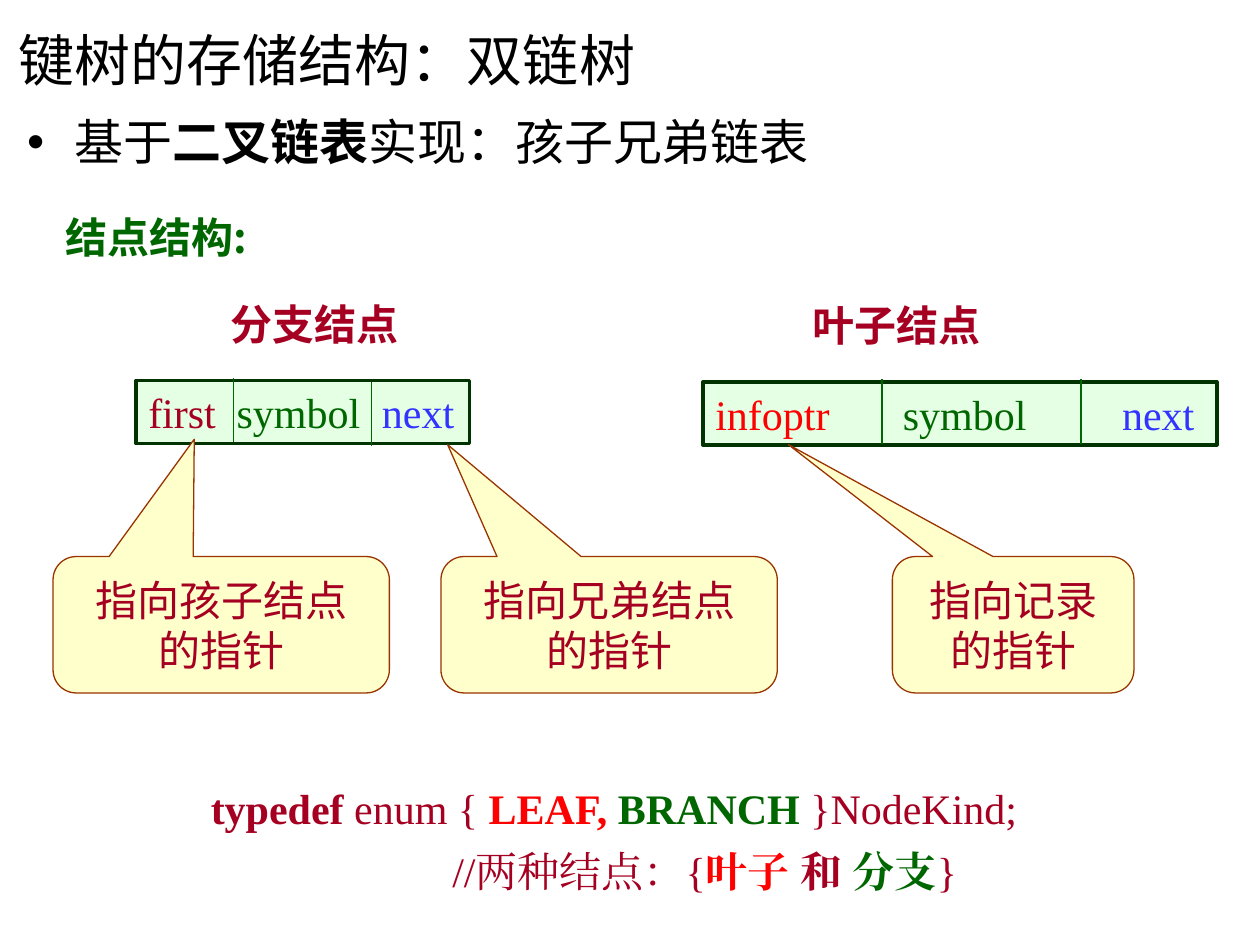
from dataclasses import dataclass

from lxml import etree
from pptx import Presentation
from pptx import util as u
from pptx.dml.color import RGBColor
from pptx.enum import shapes, text
from pptx.oxml.ns import qn


@dataclass(frozen=True)
class Theme:
    black: str = "000000"
    crimson: str = "A50021"
    red: str = "FF0000"
    green: str = "006600"
    blue: str = "3333FF"
    mint: str = "CCFFCC"
    dark_green: str = "003300"
    cream: str = "FFFFCC"
    brown: str = "993300"
    sans: str = "Noto Sans CJK SC"
    title_sans: str = "Noto Sans CJK JP"
    serif: str = "Times New Roman"
    title_size: int = 32
    body_size: int = 28
    label_size: int = 24


theme = Theme()


def write(paragraph, runs, size=theme.label_size, face=theme.sans):
    """Fill a paragraph with (wording, colour, bold) runs."""
    font = paragraph.font
    font.size, font.name = u.Pt(size), face
    latin = paragraph._p.pPr.find(qn("a:defRPr")).find(qn("a:latin"))
    east_asian = etree.Element(qn("a:ea"), typeface=face)
    latin.addnext(east_asian)
    colours = {colour for _, colour, _ in runs}
    weights = {bold for _, _, bold in runs}
    if len(colours) == 1:
        font.color.rgb = RGBColor.from_string(runs[0][1])
    if len(weights) == 1:
        font.bold = runs[0][2]
    for wording, colour, bold in runs:
        run = paragraph.add_run()
        run.text = wording
        if len(colours) > 1:
            run.font.color.rgb = RGBColor.from_string(colour)
        if len(weights) > 1:
            run.font.bold = bold


def paint(shape, fill, line, width):
    """Give a shape a plain fill and outline, without shadow."""
    shape.shadow.inherit = False
    shape.fill.solid()
    shape.fill.fore_color.rgb = RGBColor.from_string(fill)
    shape.line.color.rgb = RGBColor.from_string(line)
    shape.line.width = u.Pt(width)


deck = Presentation()
deck.slide_width, deck.slide_height = u.Cm(25.4), u.Cm(19.05)
slide = deck.slides.add_slide(deck.slide_layouts[6])
canvas = slide.shapes

# Type definition of the node kinds
typedef = canvas.add_textbox(u.Cm(4), u.Cm(15.4), u.Cm(17.15), u.Cm(2.72)).text_frame
typedef.word_wrap = True
declaration, comment = typedef.paragraphs[0], typedef.add_paragraph()
comment._p.get_or_add_pPr().set("marL", str(u.Cm(4.87)))
declaration.line_spacing = comment.line_spacing = 1.25
write(declaration, [
    ("typedef ", theme.crimson, True), ("enum { ", theme.crimson, False),
    ("LEAF, ", theme.red, True), ("BRANCH", theme.green, True),
    (" }NodeKind;", theme.crimson, False),
], face=theme.serif)
write(comment, [
    ("//两种结点：{", theme.crimson, False), ("叶子 ", theme.red, True),
    ("和 ", theme.crimson, True), ("分支", theme.green, True),
    ("}", theme.crimson, False),
], face=theme.serif)

# Section label and node names
for wording, left, top, width, colour in [
    ("结点结构:", 1.07, 4.14, 4.11, theme.green),
    ("分支结点", 4.4, 5.9, 3.94, theme.crimson),
    ("叶子结点", 16.13, 5.92, 3.94, theme.crimson),
]:
    label = canvas.add_textbox(u.Cm(left), u.Cm(top), u.Cm(width), u.Cm(1.27))
    write(label.text_frame.paragraphs[0], [(wording, colour, True)])

# Node records: fields stand on tab stops, dividers between them
for left, top, width, pointer, pointer_colour, stops, dividers in [
    (2.74, 7.67, 6.73, "first", theme.crimson, (1.78, 4.71),
     ((4.7, 7.62), (7.49, 7.7))),
    (14.17, 7.7, 10.36, "infoptr", theme.red, (3.78, 8.2),
     ((17.78, 7.65), (21.79, 7.65))),
]:
    record = canvas.add_shape(shapes.MSO_SHAPE.RECTANGLE,
                              u.Cm(left), u.Cm(top), u.Cm(width), u.Cm(1.27))
    paint(record, theme.mint, theme.dark_green, 2)
    mint = record.fill._xPr.find(qn("a:solidFill"))[0]
    etree.SubElement(mint, qn("a:alpha"), val="50000")
    record.text_frame.vertical_anchor = text.MSO_ANCHOR.TOP
    fields = record.text_frame.paragraphs[0]
    fields.alignment = text.PP_ALIGN.LEFT
    tabs = etree.SubElement(fields._p.get_or_add_pPr(), qn("a:tabLst"))
    for stop in stops:
        etree.SubElement(tabs, qn("a:tab"), pos=str(u.Cm(stop)), algn="l")
    write(fields, [(pointer + "\t", pointer_colour, False),
                   ("symbol\t", theme.green, False),
                   ("next", theme.blue, False)], face=theme.serif)
    for x, y in dividers:
        divider = canvas.add_connector(shapes.MSO_CONNECTOR.STRAIGHT,
                                       u.Cm(x), u.Cm(y), u.Cm(x), u.Cm(y + 1.3))
        divider.line.color.rgb = RGBColor.from_string(theme.green)
        divider.line.width = u.Pt(0.75)
        etree.SubElement(divider._element.spPr, qn("a:effectLst"))

# Callouts explaining the pointers
for target, left, width, tip in [
    ("指向孩子结点", 1.07, 6.78, (-0.08, -1.36)),
    ("指向兄弟结点", 8.89, 6.78, (-0.48, -1.32)),
    ("指向记录", 17.99, 4.87, (-0.93, -1.32)),
]:
    callout = canvas.add_shape(shapes.MSO_SHAPE.ROUNDED_RECTANGULAR_CALLOUT,
                               u.Cm(left), u.Cm(11.22), u.Cm(width), u.Cm(2.75))
    callout.adjustments[0], callout.adjustments[1] = tip
    callout.adjustments[2] = 0.17
    paint(callout, theme.cream, theme.brown, 0.75)
    note = callout.text_frame
    note.vertical_anchor = text.MSO_ANCHOR.MIDDLE
    for paragraph, wording in [(note.paragraphs[0], target),
                               (note.add_paragraph(), "的指针")]:
        paragraph.alignment = text.PP_ALIGN.CENTER
        write(paragraph, [(wording, theme.crimson, False)])

# Title
title = canvas.add_textbox(u.Cm(0.13), u.Cm(-0.1), u.Cm(22.86), u.Cm(2.59)).text_frame
title.word_wrap = True
title.vertical_anchor = text.MSO_ANCHOR.MIDDLE
write(title.paragraphs[0], [("键树的存储结构：双链树", theme.black, False)],
      size=theme.title_size, face=theme.title_sans)

# Bulleted statement
statement = canvas.add_textbox(u.Cm(0.3), u.Cm(2.13), u.Cm(22.86), u.Cm(1.85)).text_frame
statement.word_wrap = True
bullet = statement.paragraphs[0]._p.get_or_add_pPr()
bullet.set("marL", str(u.Cm(0.96)))
bullet.set("indent", str(u.Cm(-0.96)))
etree.SubElement(bullet, qn("a:buFont"), typeface="Arial")
etree.SubElement(bullet, qn("a:buChar"), char="•")
write(statement.paragraphs[0], [
    ("基于", theme.black, False), ("二叉链表", theme.black, True),
    ("实现：孩子兄弟链表", theme.black, False),
], size=theme.body_size)

deck.save("out.pptx")
